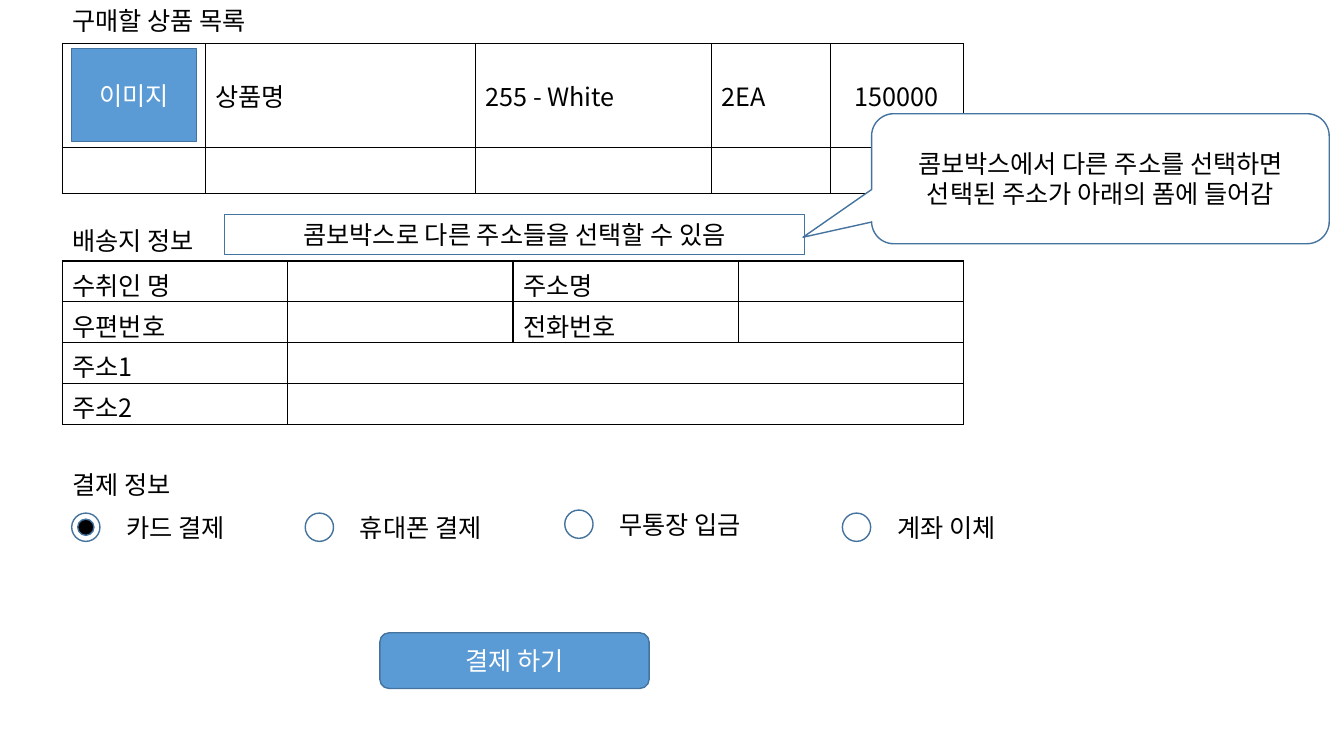
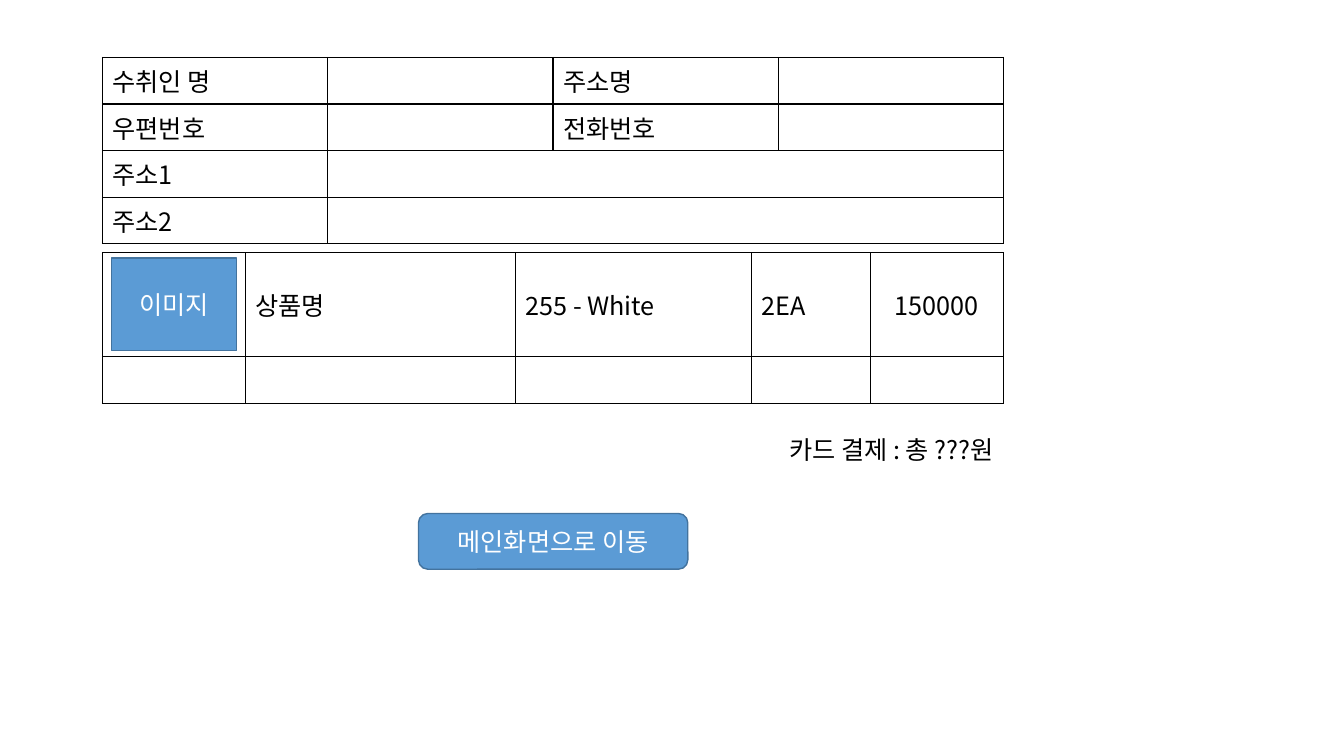
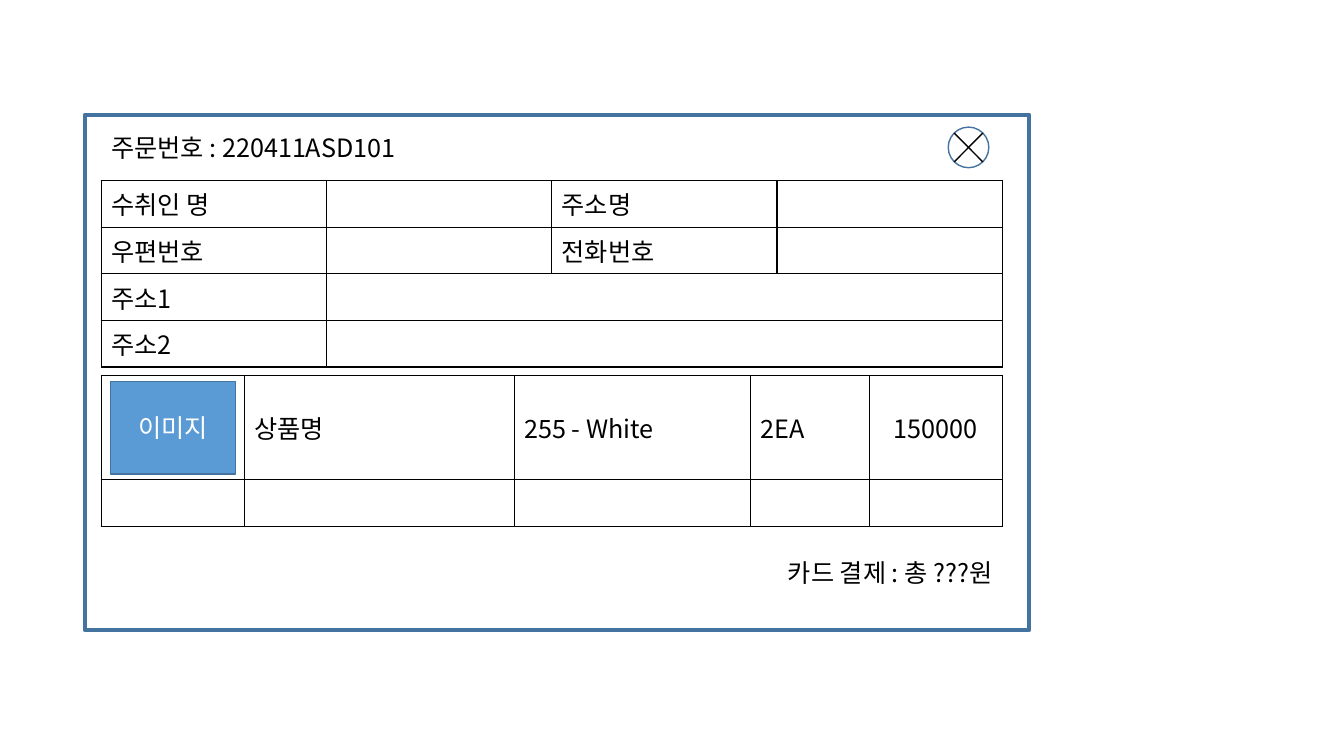
from pptx import Presentation
from pptx.dml.color import RGBColor
from pptx.enum.shapes import MSO_CONNECTOR, MSO_SHAPE
from pptx.enum.text import MSO_ANCHOR, MSO_AUTO_SIZE, PP_ALIGN
from pptx.oxml.ns import qn
from pptx.util import Pt
from lxml.etree import SubElement

COLORS = {"black": "000000", "white": "FFFFFF", "blue": "5B9BD5", "edge": "43739E"}
FONT = "Noto Sans CJK KR"
SIZE = 18
ADDRESS_COLS = [160.9] * 4
PRODUCT_COLS = [102.1, 192.9, 168.6, 85, 95]
ADDRESS = [["수취인 명", "", "주소명", ""], ["우편번호", "", "전화번호", ""],
           ["주소1", "", "", ""], ["주소2", "", "", ""]]
PRODUCTS = [["", "상품명", "255 - White", "2EA", "150000"], [""] * 5]


def rgb(name):
    return RGBColor.from_string(COLORS[name])


class Deck:
    def __init__(self):
        self.prs = Presentation()
        self.prs.slide_width, self.prs.slide_height = Pt(960), Pt(540)

    def slide(self):
        self.s = self.prs.slides.add_slide(self.prs.slide_layouts[6])

    def add_text(self, tf, text, color="black", align=PP_ALIGN.LEFT):
        p = tf.paragraphs[0]
        p.alignment = align
        r = p.add_run()
        r.text = text
        r.font.size = Pt(SIZE)
        r.font.name = FONT
        r.font.color.rgb = rgb(color)
        SubElement(r.font._element, qn("a:ea")).set("typeface", FONT)

    def text(self, x, y, w, text, align=PP_ALIGN.LEFT, wrap=True):
        tf = self.s.shapes.add_textbox(Pt(x), Pt(y), Pt(w), Pt(29)).text_frame
        tf.word_wrap = wrap
        tf.auto_size = MSO_AUTO_SIZE.SHAPE_TO_FIT_TEXT
        self.add_text(tf, text, align=align)

    def shape(self, kind, x, y, w, h, fill="white", text="", color="black", line=1):
        sp = self.s.shapes.add_shape(kind, Pt(x), Pt(y), Pt(w), Pt(h))
        sp.shadow.inherit = False
        if fill:
            sp.fill.solid()
            sp.fill.fore_color.rgb = rgb(fill)
        else:
            sp.fill.background()
        sp.line.color.rgb = rgb("edge")
        sp.line.width = Pt(line)
        if text:
            sp.text_frame.word_wrap = True
            sp.text_frame.vertical_anchor = MSO_ANCHOR.MIDDLE
            self.add_text(sp.text_frame, text, color, PP_ALIGN.CENTER)
        return sp

    def button(self, x, y, text):
        self.shape(MSO_SHAPE.ROUNDED_RECTANGLE, x, y, 192.4, 39.8, "blue", text, "white")

    def line(self, x1, y1, x2, y2):
        c = self.s.shapes.add_connector(MSO_CONNECTOR.STRAIGHT, Pt(x1), Pt(y1), Pt(x2), Pt(y2))
        c.line.color.rgb = rgb("black")
        c.line.width = Pt(1)
        SubElement(c._element.spPr, qn("a:effectLst"))

    def border(self, cell):
        tcPr = cell._tc.get_or_add_tcPr()
        for side in ("lnL", "lnR", "lnT", "lnB"):
            ln = SubElement(tcPr, qn("a:" + side), w=str(Pt(1)))
            fill = SubElement(ln, qn("a:solidFill"))
            SubElement(fill, qn("a:srgbClr"), val=COLORS["black"])

    def table(self, x, y, cols, heights, rows, anchor=MSO_ANCHOR.TOP, bottom=3.6):
        tbl = self.s.shapes.add_table(len(rows), len(cols), Pt(x), Pt(y),
                                      Pt(sum(cols)), Pt(sum(heights))).table
        tbl.first_row = tbl.horz_banding = False
        for col, w in zip(tbl.columns, cols):
            col.width = Pt(w)
        for row, h, texts in zip(tbl.rows, heights, rows):
            row.height = Pt(h)
            for cell, text in zip(row.cells, texts):
                cell.vertical_anchor = anchor
                cell.margin_bottom = Pt(bottom)
                self.border(cell)
                cell.fill.background()
                if text:
                    align = PP_ALIGN.CENTER if text.isdigit() else PP_ALIGN.LEFT
                    self.add_text(cell.text_frame, text, align=align)
        return tbl

    def address(self, x, y, height=33.3, bottom=3.6):
        tbl = self.table(x, y, ADDRESS_COLS, [height] * 4, ADDRESS, bottom=bottom)
        for i in (2, 3):
            tbl.cell(i, 1).merge(tbl.cell(i, 3))

    def products(self, x, y):
        self.table(x, y, PRODUCT_COLS, [74.2, 33.3], PRODUCTS, MSO_ANCHOR.MIDDLE)
        self.shape(MSO_SHAPE.RECTANGLE, x + 6.5, y + 3.8, 89.3, 66.2, "blue", "이미지", "white")

    def summary(self, x, y):
        self.address(x, y)
        self.products(x, y + 139.5)
        self.text(x, y + 265.6, 643.6, "카드 결제 : 총 ???원", PP_ALIGN.RIGHT)

    def radio(self, x, y, text, chosen=False):
        self.shape(MSO_SHAPE.OVAL, x, y, 20.2, 20.2)
        if chosen:
            self.shape(MSO_SHAPE.OVAL, x + 4.3, y + 4.3, 11.6, 11.6, "black")
        self.text(x + 32, y - 4.3, 141.8, text)


deck = Deck()

deck.slide()
left = 44.6
deck.products(left, 31)
deck.text(left, 0, 154.8, "구매할 상품 목록", wrap=False)
deck.address(left, 186.5, 29.15, 0)
deck.text(left, 157.7, 111.6, "배송지 정보", wrap=False)
deck.shape(MSO_SHAPE.RECTANGLE, 160.5, 153.2, 414, 28.8,
           text="콤보박스로 다른 주소들을 선택할 수 있음")
callout = deck.shape(MSO_SHAPE.ROUNDED_RECTANGULAR_CALLOUT, 622.6, 81.2, 326.9, 92.9,
                     text="콤보박스에서 다른 주소를 선택하면 선택된 주소가 아래의 폼에 들어감")
for i, value in enumerate((-0.65, 0.45, 0.17)):
    callout.adjustments[i] = value
deck.text(left, 331.9, 93.6, "결제 정보", wrap=False)
for x, y, label in ((51.2, 366.5, "카드 결제"), (218, 366.5, "휴대폰 결제"),
                    (403.4, 364.3, "무통장 입금"), (601.7, 366.5, "계좌 이체")):
    deck.radio(x, y, label, chosen=label == "카드 결제")
deck.button(271.3, 452, "결제 하기")

deck.slide()
deck.summary(73.2, 41)
deck.button(298.9, 366.8, "메인화면으로 이동")

deck.slide()
deck.summary(72.3, 129)
deck.shape(MSO_SHAPE.RECTANGLE, 60.7, 82, 674.6, 368, None, line=3)
deck.text(72.3, 90.7, 301, "주문번호 : 220411ASD101")
deck.shape(MSO_SHAPE.OVAL, 677.3, 90.8, 29, 29)
deck.line(681.6, 95.1, 702, 115.6)
deck.line(681.6, 115.6, 702, 95.1)

deck.prs.save("out.pptx")
